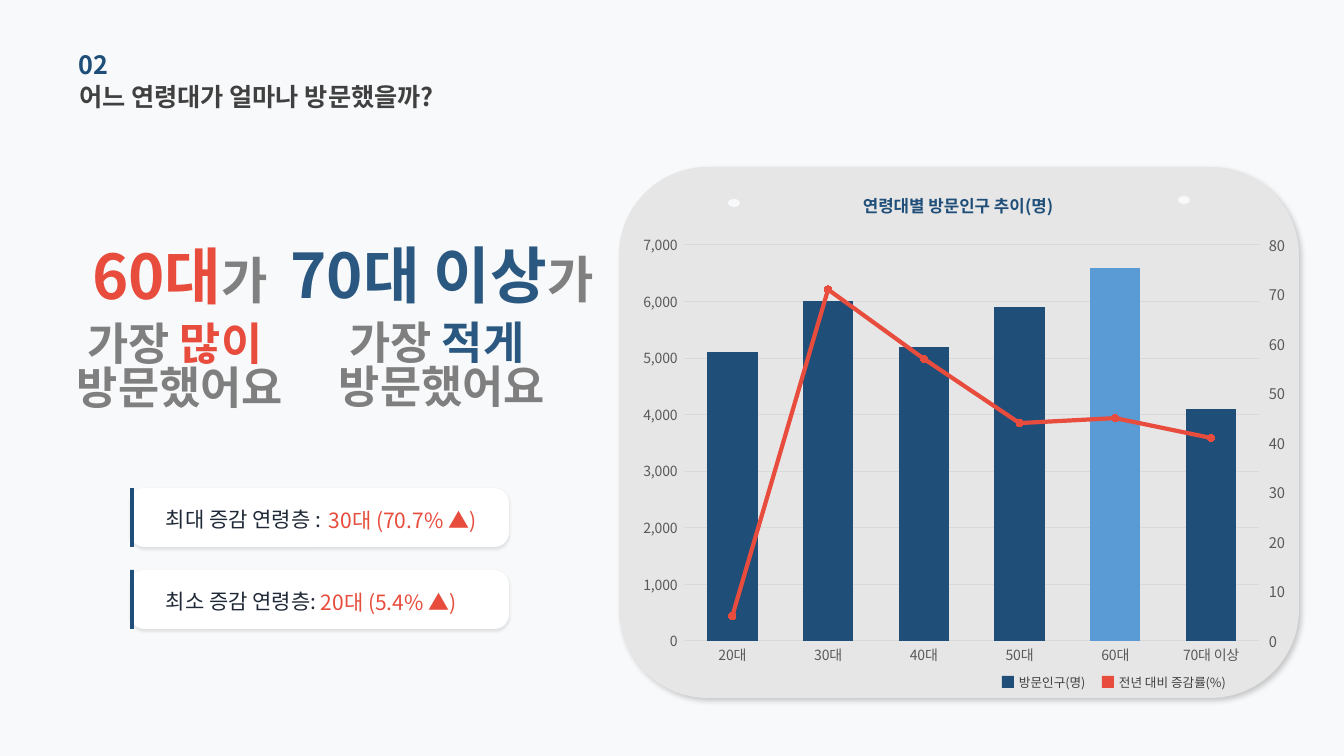
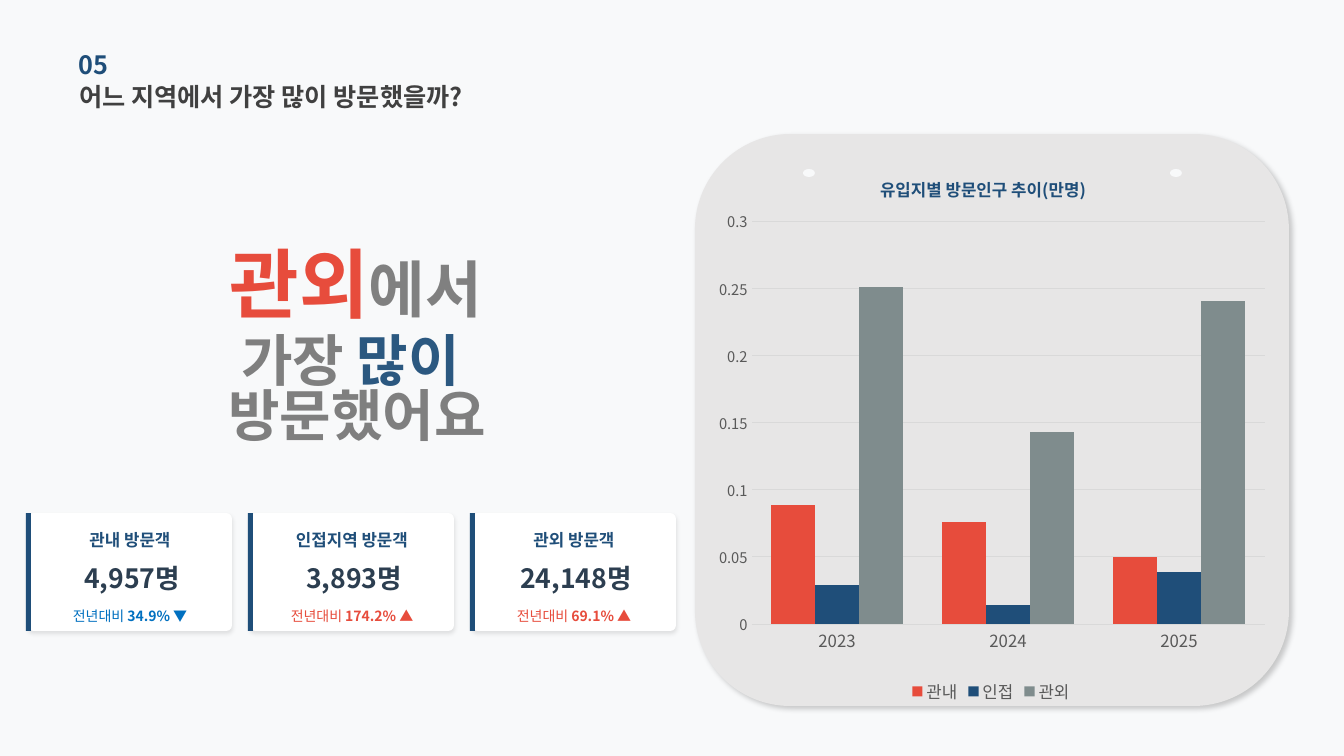
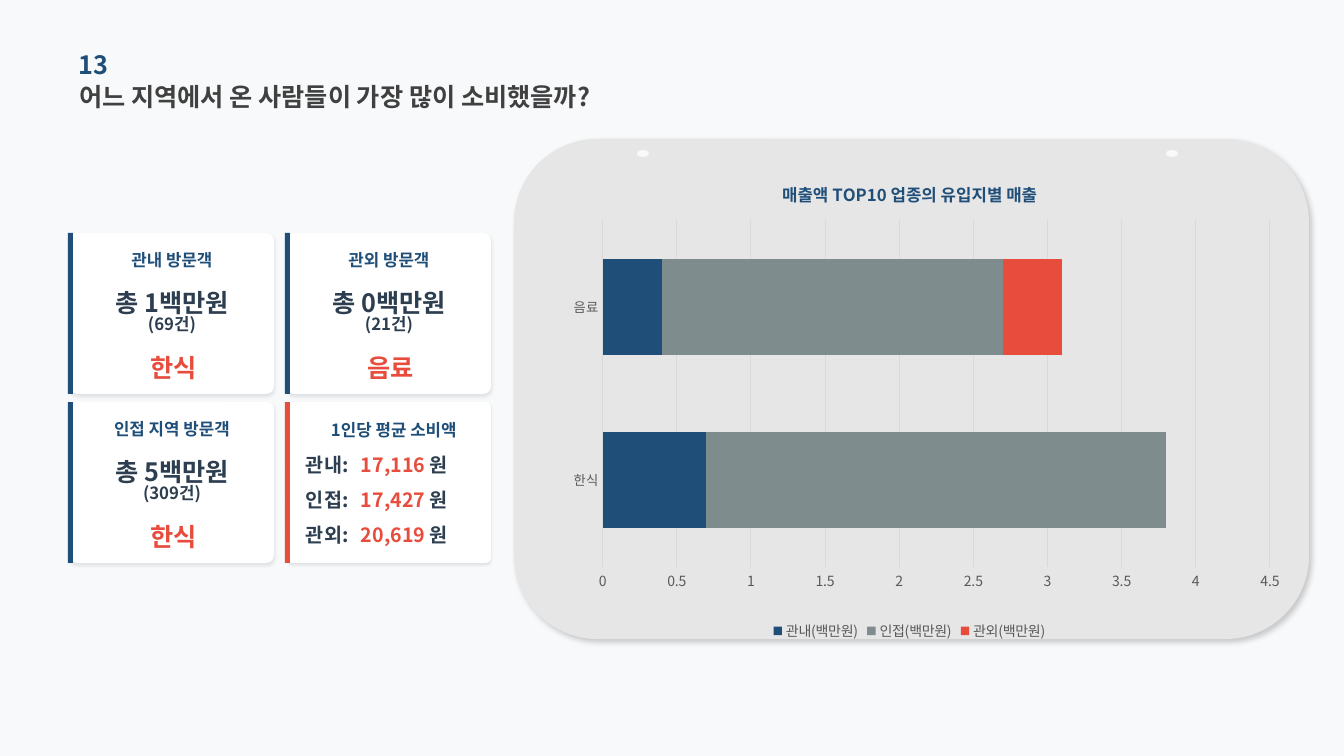
from dataclasses import dataclass

from pptx import Presentation
from pptx import oxml as ox
from pptx import util as u
from pptx.chart.axis import ValueAxis
from pptx.chart.data import CategoryChartData
from pptx.dml.color import RGBColor
from pptx.enum import chart as ch
from pptx.enum import shapes, text
from pptx.oxml import ns

SCALE = 12192000 / 1344
FONT = "Noto Sans CJK KR"
PAPER, WHITE, PANEL, GRID = "F8F9FA", "FFFFFF", "E7E6E6", "D9D9D9"
NAVY, BLUE, SKY, RED = "1F4E79", "2B5880", "5B9BD5", "E74C3C"
FALL, INK, SLATE, DARK = "0070C0", "2C3E50", "1F2937", "404040"
GREY, SOFT, STONE, AXIS = "7F7F7F", "808080", "7F8C8D", "595959"
LEFT, CENTER = text.PP_ALIGN.LEFT, text.PP_ALIGN.CENTER
RECT = shapes.MSO_SHAPE.RECTANGLE
ROUND = shapes.MSO_SHAPE.ROUNDED_RECTANGLE
OVAL = shapes.MSO_SHAPE.OVAL


@dataclass(frozen=True)
class Box:
    x: int
    y: int
    w: int
    h: int

    def emu(self) -> list[int]:
        return [px(v) for v in (self.x, self.y, self.w, self.h)]


@dataclass(frozen=True)
class Run:
    text: str
    size: float
    color: str
    bold: bool = True


@dataclass(frozen=True)
class Shadow:
    alpha: int
    blur: int
    dist: int
    angle: int


@dataclass(frozen=True)
class Series:
    name: str
    values: tuple
    color: str


@dataclass(frozen=True)
class Visitors:
    label: str
    count: str
    change: str
    color: str


@dataclass(frozen=True)
class Spending:
    col: int
    row: int
    label: str
    total: str
    cases: str
    food: str


PANEL_SHADOW = Shadow(20, 4, 3, 45)
PILL_SHADOW = Shadow(10, 2, 1, 90)
CARD_SHADOW = Shadow(10, 3, 2, 90)


def px(v: float) -> int:
    return round(v * SCALE)


def rgb(color: str) -> RGBColor:
    return RGBColor.from_string(color)


def style(font, size: float, color: str, bold: bool = False) -> None:
    font.name = FONT
    font.size = u.Pt(size)
    font.bold = bold
    font.color.rgb = rgb(color)


def add_shadow(sp, shadow: Shadow) -> None:
    pt = 12700
    effects = ox.parse_xml(
        f'<a:effectLst {ns.nsdecls("a")}><a:outerShdw blurRad="{shadow.blur * pt}" '
        f'dist="{shadow.dist * pt}" dir="{shadow.angle * 60000}" algn="ctr" rotWithShape="0">'
        f'<a:srgbClr val="000000"><a:alpha val="{shadow.alpha * 1000}"/></a:srgbClr>'
        '</a:outerShdw></a:effectLst>')
    old = sp._element.spPr.find(ns.qn("a:effectLst"))
    old.getparent().replace(old, effects)


def add_shape(s, kind, box: Box, color: str, shadow: Shadow | None = None,
              adj: float | None = None) -> None:
    sp = s.shapes.add_shape(kind, *box.emu())
    sp.shadow.inherit = False
    sp.fill.solid()
    sp.fill.fore_color.rgb = rgb(color)
    sp.line.fill.background()
    if adj is not None:
        sp.adjustments[0] = adj
    if shadow:
        add_shadow(sp, shadow)


def add_text(s, box: Box, *lines: list[Run], align=LEFT) -> None:
    tf = s.shapes.add_textbox(*box.emu()).text_frame
    tf.word_wrap = True
    tf.vertical_anchor = text.MSO_ANCHOR.MIDDLE
    tf.margin_left = tf.margin_right = tf.margin_top = tf.margin_bottom = 0
    for i, line in enumerate(lines):
        p = tf.add_paragraph() if i else tf.paragraphs[0]
        p.alignment = align
        if len(lines) > 1:
            p.line_spacing = 0.82
        for run in line:
            r = p.add_run()
            r.text = run.text
            style(r.font, run.size, run.color, run.bold)
            ea = ox.parse_xml(f'<a:ea {ns.nsdecls("a")} typeface="{FONT}"/>')
            r._r.get_or_add_rPr().append(ea)


def add_slide(prs, number: str, title: str, panel: Box, pins: list[Box]):
    s = prs.slides.add_slide(prs.slide_layouts[6])
    s.background.fill.solid()
    s.background.fill.fore_color.rgb = rgb(PAPER)
    add_shape(s, ROUND, panel, PANEL, PANEL_SHADOW)
    for pin in pins:
        add_shape(s, OVAL, pin, PAPER)
    add_text(s, Box(79, 76, 540, 41), [Run(title, 18, DARK)])
    add_text(s, Box(79, 44, 456, 41), [Run(number, 18, NAVY)])
    return s


def add_card(s, box: Box, accent: str, shadow: Shadow, adj: float) -> None:
    add_shape(s, ROUND, box, WHITE, shadow, adj)
    add_shape(s, RECT, Box(box.x - 2, box.y, 5, box.h), accent)


def set_layout(parent, index: int, x: float, y: float, w: float = 0, h: float = 0) -> None:
    for old in parent.findall(ns.qn("c:layout")):
        parent.remove(old)
    target = '<c:layoutTarget val="inner"/>' if w else ""
    size = f'<c:w val="{w}"/><c:h val="{h}"/>' if w else ""
    parent.insert(index, ox.parse_xml(
        f'<c:layout {ns.nsdecls("c")}><c:manualLayout>{target}'
        '<c:xMode val="edge"/><c:yMode val="edge"/>'
        f'<c:x val="{x}"/><c:y val="{y}"/>{size}</c:manualLayout></c:layout>'))


def style_value_axis(axis, size: float, top: float, step: float, fmt: str, grid: bool = True,
                     tick=ch.XL_TICK_MARK.NONE) -> None:
    axis.minimum_scale, axis.maximum_scale, axis.major_unit = 0, top, step
    axis.major_tick_mark = tick
    axis.tick_labels.number_format = fmt
    axis.tick_labels.number_format_is_linked = False
    style(axis.tick_labels.font, size, AXIS)
    axis.format.line.fill.background()
    axis.has_major_gridlines = grid
    if grid:
        line = axis.major_gridlines.format.line
        line.color.rgb = rgb(GRID)
        line.width = u.Pt(0.75)


def add_chart(s, box: Box, kind, cats: list[str], series: list[Series], gap: int, overlap: int,
              cat_size: float, plot_area: tuple):
    data = CategoryChartData()
    data.categories = cats
    for item in series:
        data.add_series(item.name, item.values)
    chart = s.shapes.add_chart(kind, *box.emu(), data).chart
    style(chart.font, 10, AXIS)
    chart.has_title = chart.has_legend = False
    plot = chart.plots[0]
    plot.vary_by_categories = False
    plot.gap_width, plot.overlap = gap, overlap
    for bar, item in zip(plot.series, series):
        bar.format.fill.solid()
        bar.format.fill.fore_color.rgb = rgb(item.color)
    axis = chart.category_axis
    axis.major_tick_mark = ch.XL_TICK_MARK.NONE
    axis.has_major_gridlines = False
    axis.format.line.color.rgb = rgb(GRID)
    axis.format.line.width = u.Pt(0.75)
    style(axis.tick_labels.font, cat_size, AXIS)
    set_layout(chart._chartSpace.chart.plotArea, 0, *plot_area)
    return chart


def add_title_and_legend(chart, title: str, x: float, y: float, legend_size: float) -> None:
    chart.has_title = True
    tf = chart.chart_title.text_frame
    tf.text = title
    style(tf.paragraphs[0].runs[0].font, 12, NAVY, True)
    set_layout(chart.chart_title._element, 1, x, y)
    chart.has_legend = True
    chart.legend.position = ch.XL_LEGEND_POSITION.BOTTOM
    chart.legend.include_in_layout = False
    style(chart.legend.font, legend_size, AXIS)


def move_to_line(chart, item: Series) -> None:
    bars = chart.plots[0]._element
    ser = bars.findall(ns.qn("c:ser"))[1]
    for tag in ("c:invertIfNegative", "c:spPr"):
        for old in ser.findall(ns.qn(tag)):
            ser.remove(old)
    c = ns.nsdecls("c")
    line_chart = ox.parse_xml(
        f'<c:lineChart {c}><c:grouping val="standard"/><c:varyColors val="0"/>'
        '<c:marker val="1"/><c:axId val="501"/><c:axId val="502"/></c:lineChart>')
    line_chart.insert(2, ser)
    bars.addnext(line_chart)
    cat_axis = ox.parse_xml(
        f'<c:catAx {c}><c:axId val="501"/><c:scaling><c:orientation val="minMax"/></c:scaling>'
        '<c:delete val="1"/><c:axPos val="b"/><c:crossAx val="502"/>'
        '<c:crosses val="autoZero"/></c:catAx>')
    val_axis = ox.parse_xml(
        f'<c:valAx {c}><c:axId val="502"/><c:scaling><c:orientation val="minMax"/></c:scaling>'
        '<c:delete val="0"/><c:axPos val="r"/><c:majorTickMark val="out"/>'
        '<c:minorTickMark val="none"/><c:tickLblPos val="nextTo"/>'
        '<c:crossAx val="501"/><c:crosses val="max"/></c:valAx>')
    chart.value_axis._element.addnext(val_axis)
    val_axis.addnext(cat_axis)
    style_value_axis(ValueAxis(val_axis), 10.5, 80, 10, "General", False,
                     ch.XL_TICK_MARK.OUTSIDE)
    line = chart.plots[1].series[0]
    line.smooth = False
    line.format.line.color.rgb = rgb(item.color)
    line.format.line.width = u.Pt(3)
    line.marker.style = ch.XL_MARKER_STYLE.CIRCLE
    line.marker.size = 5
    line.marker.format.fill.solid()
    line.marker.format.fill.fore_color.rgb = rgb(item.color)
    line.marker.format.line.color.rgb = rgb(item.color)


def age_slide(prs) -> None:
    s = add_slide(prs, "02", "어느 연령대가 얼마나 방문했을까?", Box(619, 167, 680, 531),
                  [Box(728, 199, 12, 8), Box(1178, 196, 12, 8)])
    series = [Series("방문인구(명)", (5100, 6000, 5200, 5900, 6600, 4100), NAVY),
              Series("전년 대비 증감률(%)", (5, 71, 57, 44, 45, 41), RED)]
    for x, item in zip((1002, 1102), series):
        add_shape(s, RECT, Box(x, 676, 12, 12), item.color)
        add_text(s, Box(x + 17, 673, 120, 18), [Run(item.name, 9, DARK, False)])

    pills = [("최대 증감 연령층 :", "30대 (70.7% ▲)", 329),
             ("최소 증감 연령층:", "20대 (5.4% ▲)", 321)]
    for i, (label, value, x) in enumerate(pills):
        y = 488 + 82 * i
        add_shape(s, ROUND, Box(130, y, 379, 59), WHITE, PILL_SHADOW, 0.245)
        add_shape(s, RECT, Box(130, y, 4, 59), NAVY)
        add_text(s, Box(166, y + 20, 195, 22), [Run(label, 15, SLATE, False)])
        add_text(s, Box(x, y + 20, 180, 24), [Run(value, 15, RED, False)])

    heads = [("60대", "많이", RED, -36, 251), ("70대 이상", "적게", BLUE, 226, 250)]
    for age, amount, color, x, y in heads:
        add_text(s, Box(x, y, 432, 48), [Run(age, 44, color), Run("가", 36, SOFT)], align=CENTER)
        add_text(s, Box(x - 62, y + 76, 556, 85),
                 [Run("가장 ", 32, GREY), Run(amount + " ", 32, color)],
                 [Run("방문했어요", 32, GREY)], align=CENTER)

    chart = add_chart(s, Box(631, 227, 668, 450), ch.XL_CHART_TYPE.COLUMN_CLUSTERED,
                      ["20대", "30대", "40대", "50대", "60대", "70대 이상"],
                      series, 90, -27, 10, (0.08, 0.04, 0.86, 0.88))
    style_value_axis(chart.value_axis, 10, 7000, 1000, "#,##0_ ")
    peak = chart.plots[0].series[0].points[4].format.fill
    peak.solid()
    peak.fore_color.rgb = rgb(SKY)
    move_to_line(chart, series[1])
    add_text(s, Box(809, 191, 298, 30), [Run("연령대별 방문인구 추이(명)", 12, NAVY)], align=CENTER)


def region_slide(prs) -> None:
    s = add_slide(prs, "05", "어느 지역에서 가장 많이 방문했을까?", Box(695, 134, 594, 572),
                  [Box(803, 169, 12, 8), Box(1170, 169, 12, 8)])
    cards = [Visitors("관내 방문객", "4,957명", "34.9% ▼", FALL),
             Visitors("인접지역 방문객", "3,893명", "174.2% ▲", RED),
             Visitors("관외 방문객", "24,148명", "69.1% ▲", RED)]
    for i, card in enumerate(cards):
        x, y, w = 28 + 222 * i, 513, 204
        add_card(s, Box(x, y, w, 118), NAVY, CARD_SHADOW, 0.048)
        add_text(s, Box(x, y + 16, w, 22), [Run(card.label, 12, NAVY)], align=CENTER)
        add_text(s, Box(x + 2, y + 48, w, 34), [Run(card.count, 19, INK)], align=CENTER)
        add_text(s, Box(x, y + 93, w, 20), [Run("전년대비 ", 10, card.color, False),
                                            Run(card.change, 10, card.color)], align=CENTER)
    add_text(s, Box(140, 258, 432, 48), [Run("관외", 54, RED), Run("에서", 44, SOFT)], align=CENTER)
    add_text(s, Box(79, 350, 556, 85), [Run("가장", 40, GREY), Run(" 많이 ", 40, BLUE)],
             [Run("방문했어요", 40, GREY)], align=CENTER)
    series = [Series("관내", (0.089, 0.076, 0.05), RED),
              Series("인접", (0.029, 0.014, 0.039), NAVY),
              Series("관외", (0.251, 0.143, 0.241), STONE)]
    chart = add_chart(s, Box(706, 149, 570, 559), ch.XL_CHART_TYPE.COLUMN_CLUSTERED,
                      ["2023", "2024", "2025"], series, 90, 0, 12, (0.08, 0.13, 0.9, 0.72))
    style_value_axis(chart.value_axis, 10.5, 0.3, 0.05, "General")
    add_title_and_legend(chart, "유입지별 방문인구 추이(만명)", 0.3, 0.04, 12)


def spending_slide(prs) -> None:
    s = add_slide(prs, "13", "어느 지역에서 온 사람들이 가장 많이 소비했을까?",
                  Box(514, 139, 795, 500), [Box(637, 150, 12, 7), Box(1166, 150, 12, 7)])
    cards = [Spending(0, 0, "관내 방문객", "총 1백만원", "(69건)", "한식"),
             Spending(1, 0, "관외 방문객", "총 0백만원", "(21건)", "음료"),
             Spending(0, 1, "인접 지역 방문객", "총 5백만원", "(309건)", "한식")]
    w, h = 204, 161
    for card in cards:
        x, y = 70 + 217 * card.col, 233 + 169 * card.row
        add_card(s, Box(x, y, w, h), NAVY, CARD_SHADOW, 0.048)
        add_text(s, Box(x, y + 11, w, 31), [Run(card.label, 12, NAVY)], align=CENTER)
        add_text(s, Box(x, y + 57, w, 47), [Run(card.total, 18, INK)],
                 [Run(card.cases, 12, INK)], align=CENTER)
        add_text(s, Box(x + 2, y + 111, w, 47), [Run(card.food, 18, RED)], align=CENTER)

    add_card(s, Box(287, 402, w, h), RED, PILL_SHADOW, 0.032)
    add_text(s, Box(331, 417, 150, 25), [Run("1인당 평균 소비액", 12, NAVY)])
    averages = [("관내:", "17,116 "), ("인접:", "17,427 "), ("관외:", "20,619 ")]
    for i, (label, amount) in enumerate(averages):
        y = 450 + 35 * i
        add_text(s, Box(306, y, 60, 30), [Run(label, 14, INK)])
        add_text(s, Box(361, y, 120, 30), [Run(amount, 14, RED), Run("원", 14, INK)])

    series = [Series("관내(백만원)", (0.7, 0.4), NAVY),
              Series("인접(백만원)", (3.1, 2.3), STONE),
              Series("관외(백만원)", (0, 0.4), RED)]
    chart = add_chart(s, Box(526, 157, 767, 488), ch.XL_CHART_TYPE.BAR_STACKED,
                      ["한식", "음료"], series, 80, 100, 9.5, (0.1, 0.13, 0.87, 0.71))
    style_value_axis(chart.value_axis, 10, 4.5, 0.5, "General")
    add_title_and_legend(chart, "매출액 TOP10 업종의 유입지별 매출", 0.33, 0.04, 10)


def main() -> None:
    prs = Presentation()
    prs.slide_width, prs.slide_height = px(1344), px(756)
    age_slide(prs)
    region_slide(prs)
    spending_slide(prs)
    prs.save("out.pptx")


if __name__ == "__main__":
    main()
